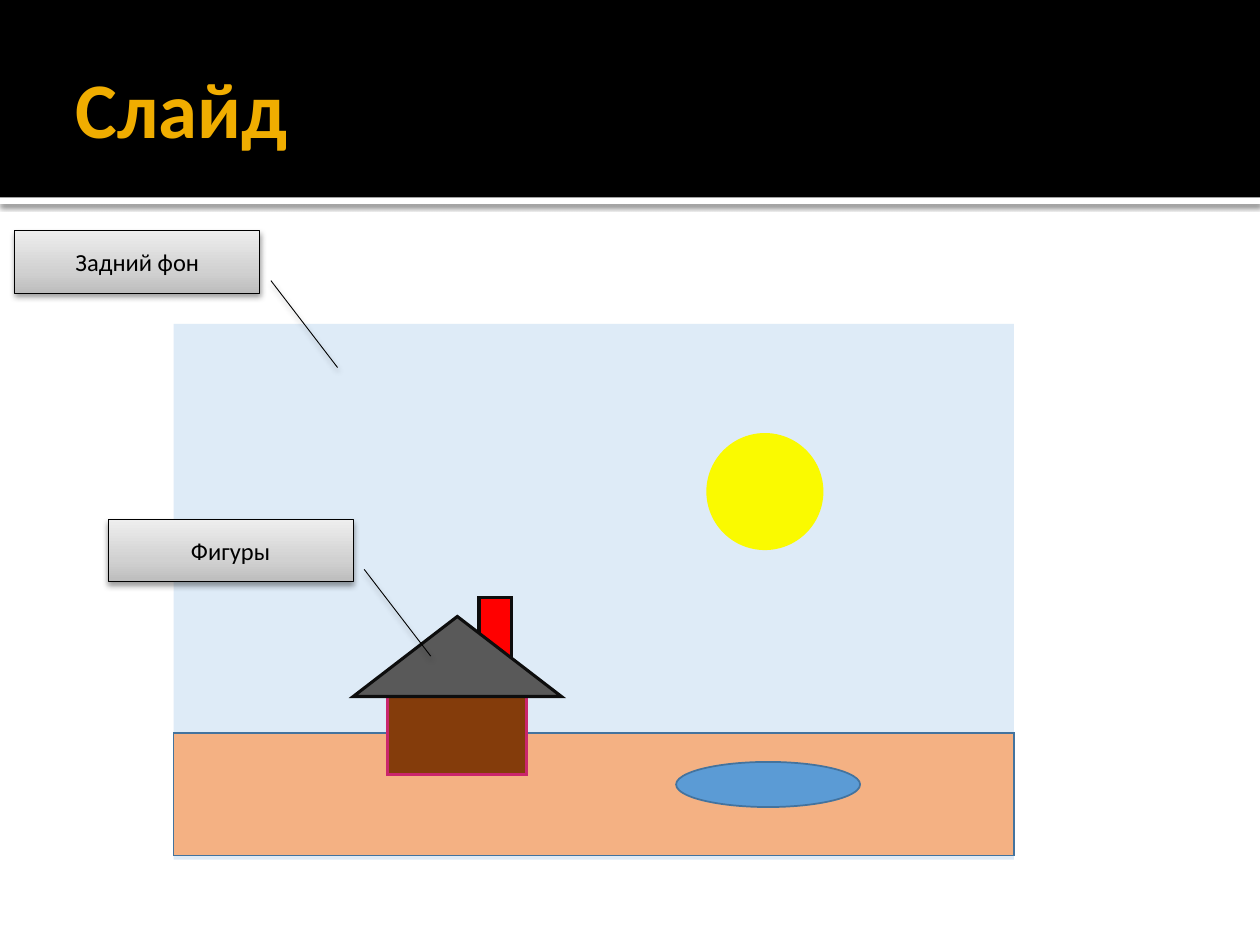
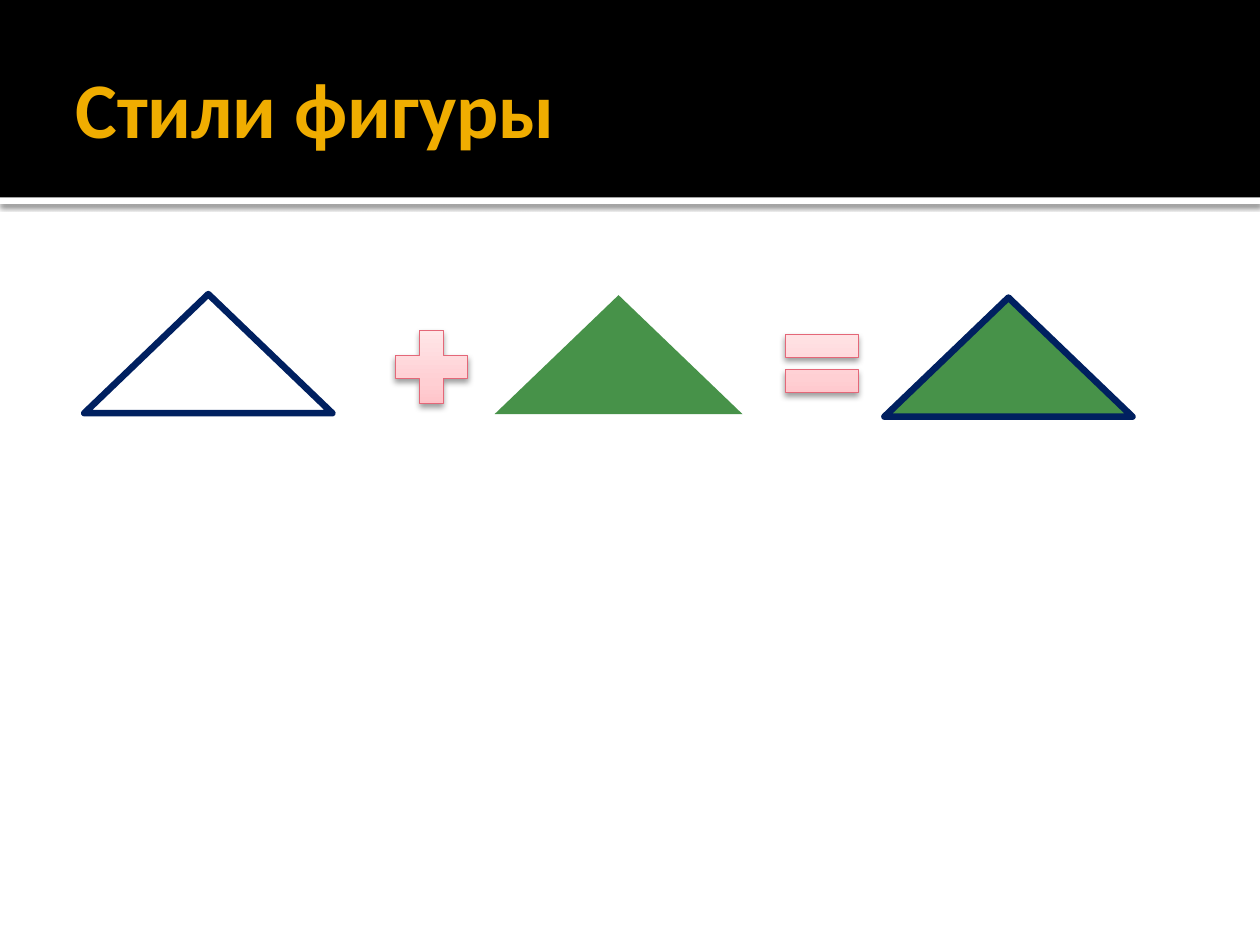
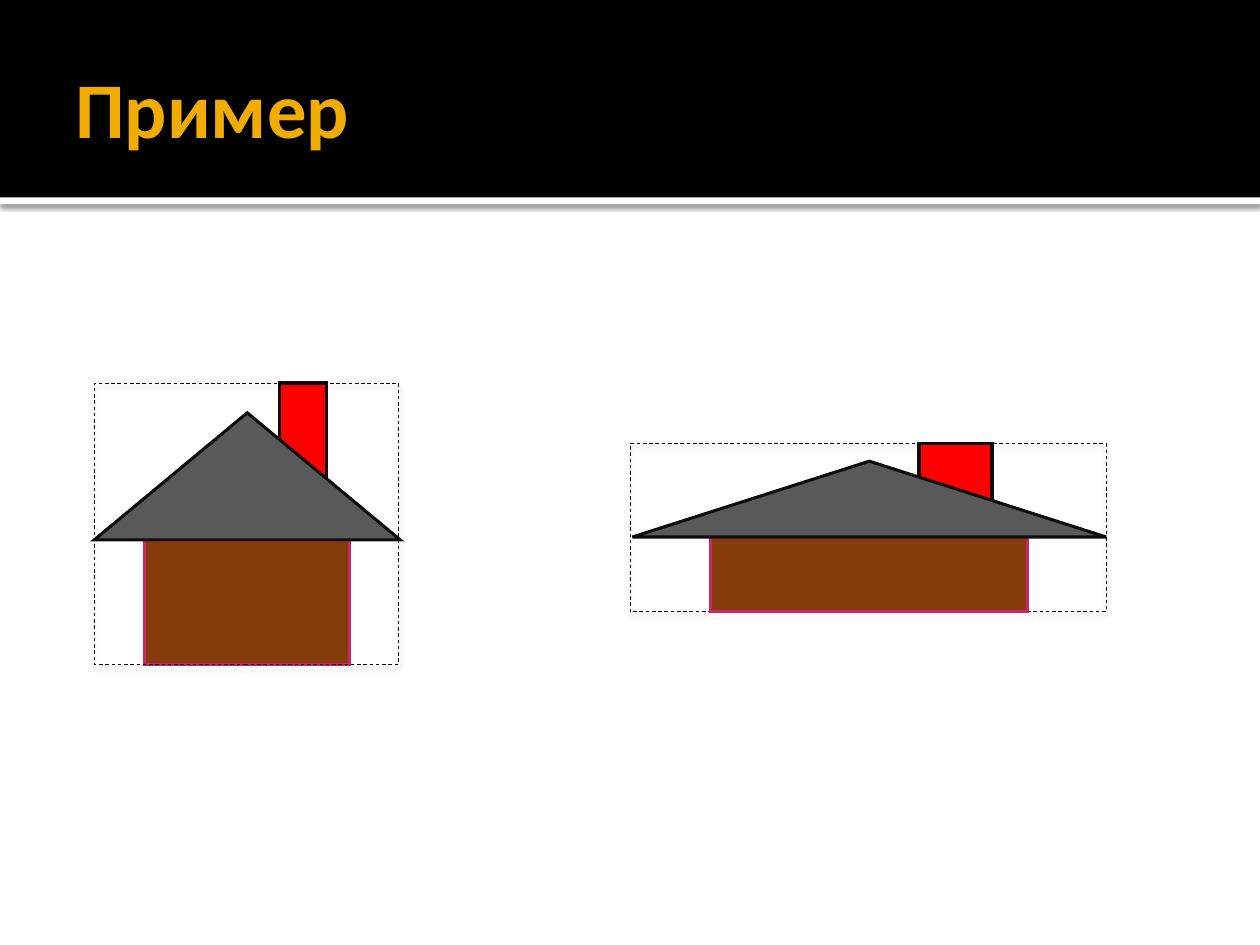
import pptx
import pptx.dml.color
import pptx.enum.dml
import pptx.enum.shapes
import pptx.enum.text
import pptx.oxml.ns
import pptx.util
from lxml import etree

Cm = pptx.util.Cm
Pt = pptx.util.Pt
SHAPE = pptx.enum.shapes.MSO_SHAPE
ALIGN = pptx.enum.text.PP_ALIGN
qn = pptx.oxml.ns.qn

SLIDE_WIDTH, SLIDE_HEIGHT = 25.4, 19.05
BAND_HEIGHT = 3.98
FONT = "Calibri"
BLACK, WHITE, GOLD = "000000", "FFFFFF", "F0AD00"
NAVY, GREEN = "002060", "479249"
OUTLINE_BLUE, OUTLINE_DARK = "43739E", "0D0D0D"

# Gradients run upwards: (position in percent, colour)
GREY_GRADIENT = [(0, "BDBDBD"), (35, "D1D1D1"), (100, "EEEEEE")]
PINK_GRADIENT = [(0, "FFBCC2"), (35, "FFCFD3"), (100, "FFEDEE")]

# Shadows: opacity in percent, blur and distance in points
RULE_SHADOW = (60, 2.5, 2)
SOFT_SHADOW = (38, 3.5, 2)


def rgb(color):
    return pptx.dml.color.RGBColor.from_string(color)


def add_color(parent, color):
    return etree.SubElement(parent, qn("a:srgbClr"), val=color)


def set_gradient(shape, stops):
    shape.fill.gradient()
    shape.fill.gradient_angle = 90
    stop_list = next(shape.element.iter(qn("a:gsLst")))
    for stop in list(stop_list):
        stop_list.remove(stop)
    for position, color in stops:
        stop = etree.SubElement(stop_list, qn("a:gs"), pos=str(position * 1000))
        add_color(stop, color)


def set_shadow(shape, opacity, blur, distance):
    effects = next(shape.element.iter(qn("a:effectLst")))
    shadow = etree.SubElement(
        effects, qn("a:outerShdw"), blurRad=str(Pt(blur)), dist=str(Pt(distance)),
        dir="5400000", algn="ctr", rotWithShape="0")
    etree.SubElement(add_color(shadow, BLACK), qn("a:alpha"), val=str(opacity * 1000))


def draw(shapes, kind, box, fill=None, line=None, shadow=None, dashed=False, sharp=False):
    """Add a preset shape; box is in cm, line is (colour, points)."""
    shape = shapes.add_shape(kind, *(Cm(length) for length in box))
    shape.shadow.inherit = False
    if isinstance(fill, list):
        set_gradient(shape, fill)
    elif fill:
        shape.fill.solid()
        shape.fill.fore_color.rgb = rgb(fill)
    else:
        shape.fill.background()
    if line:
        color, width = line
        shape.line.color.rgb = rgb(color)
        shape.line.width = Pt(width)
        if dashed:
            shape.line.dash_style = pptx.enum.dml.MSO_LINE.DASH
        if sharp:
            outline = next(shape.element.iter(qn("a:ln")))
            etree.SubElement(outline, qn("a:miter"), lim="800000")
    else:
        shape.line.fill.background()
    if shadow:
        set_shadow(shape, *shadow)
    return shape


def format_text(text_frame, size, color, alignment, bold=False):
    for paragraph in text_frame.paragraphs:
        paragraph.alignment = alignment
        for run in paragraph.runs:
            run.font.name = FONT
            run.font.size = Pt(size)
            run.font.bold = bold
            run.font.color.rgb = rgb(color)


def add_titled_slide(presentation, title):
    slide = presentation.slides.add_slide(presentation.slide_layouts[6])
    # Title band with the white rule under it
    draw(slide.shapes, SHAPE.RECTANGLE, (0, BAND_HEIGHT, SLIDE_WIDTH, 0.13), WHITE,
         shadow=RULE_SHADOW)
    draw(slide.shapes, SHAPE.RECTANGLE, (0, 0, SLIDE_WIDTH, BAND_HEIGHT), BLACK)
    # Title text
    text_box = slide.shapes.add_textbox(Cm(1.27), Cm(0.41), Cm(22.86), Cm(3.48))
    text_frame = text_box.text_frame
    text_frame.word_wrap = True
    text_frame.vertical_anchor = pptx.enum.text.MSO_ANCHOR.MIDDLE
    text_frame.margin_right = Cm(0.13)
    text_frame.text = title
    format_text(text_frame, 45, GOLD, ALIGN.LEFT, bold=True)
    return slide


def draw_house(shapes, box):
    left, top, width, height = box

    def part(kind, x, y, w, h, fill, line):
        """Place a part by percentages of the house box."""
        part_box = (left + x * width / 100, top + y * height / 100,
                    w * width / 100, h * height / 100)
        draw(shapes, kind, part_box, fill, line, sharp=True)

    part(SHAPE.RECTANGLE, 60.5, 0, 15.4, 41, "FF0000", (OUTLINE_DARK, 2))
    part(SHAPE.RECTANGLE, 16.5, 56, 66.8, 44, "843C0B", ("CA266C", 1.75))
    part(SHAPE.ISOSCELES_TRIANGLE, 0, 10.6, 100, 45.2, "595959", (OUTLINE_DARK, 1.75))


def draw_landscape(shapes, box):
    left, top, width, height = box
    draw(shapes, SHAPE.RECTANGLE, box, "DEEBF7")
    draw(shapes, SHAPE.RECTANGLE, (left, top + 8.25, width, 2.47), "F4B183",
         (OUTLINE_BLUE, 1), sharp=True)
    draw(shapes, SHAPE.OVAL, (left + 10.74, top + 2.2, 2.36, 2.36), "FAFA00")
    draw_house(shapes, (left + 3.62, top + 5.52, 4.2, 3.57))
    draw(shapes, SHAPE.OVAL, (left + 10.13, top + 8.83, 3.71, 0.91), "5B9BD5",
         (OUTLINE_BLUE, 1))


def draw_callout(shapes, left, top, label):
    callout = draw(shapes, SHAPE.LINE_CALLOUT_1, (left, top, 4.94, 1.26), GREY_GRADIENT,
                   (BLACK, 0.5), SOFT_SHADOW)
    # Pointer start and end as (y, x) shares of the box
    for index, value in enumerate((0.8, 1.045, 2.19, 1.317)):
        callout.adjustments[index] = value
    callout.text_frame.text = label
    format_text(callout.text_frame, 14, BLACK, ALIGN.CENTER)


def draw_frame(shapes, box):
    draw(shapes, SHAPE.RECTANGLE, box, line=(BLACK, 0.5), shadow=SOFT_SHADOW, dashed=True)


def build_scene_slide(presentation):
    shapes = add_titled_slide(presentation, "Слайд").shapes
    draw_landscape(shapes, (3.5, 6.53, 16.94, 10.8))
    draw_callout(shapes, 0.3, 4.65, "Задний фон")
    draw_callout(shapes, 2.18, 10.47, "Фигуры")


def build_style_slide(presentation):
    shapes = add_titled_slide(presentation, "Стили фигуры").shapes
    # Outline + fill = styled triangle
    outline = (NAVY, 3.78)
    for left, top, fill, line in ((1.7, 5.93, None, outline),
                                  (9.97, 5.95, GREEN, None),
                                  (17.83, 6, GREEN, outline)):
        draw(shapes, SHAPE.ISOSCELES_TRIANGLE, (left, top, 5, 2.4), fill, line)
    for sign, left, top in ((SHAPE.MATH_PLUS, 7.7, 6.4), (SHAPE.MATH_EQUAL, 15.57, 6.33)):
        draw(shapes, sign, (left, top, 2, 2), PINK_GRADIENT, ("E46778", 0.5), SOFT_SHADOW)


def build_example_slide(presentation):
    shapes = add_titled_slide(presentation, "Пример").shapes
    # Tall house, then the same house stretched
    draw_house(shapes.add_group_shape().shapes, (1.9, 7.72, 6.17, 5.67))
    draw_frame(shapes, (1.9, 7.73, 6.14, 5.66))
    draw_frame(shapes, (12.7, 8.95, 9.6, 3.38))
    draw_house(shapes.add_group_shape().shapes, (12.75, 8.94, 9.55, 3.38))


def main():
    presentation = pptx.Presentation()
    presentation.slide_width = Cm(SLIDE_WIDTH)
    presentation.slide_height = Cm(SLIDE_HEIGHT)
    build_scene_slide(presentation)
    build_style_slide(presentation)
    build_example_slide(presentation)
    presentation.save("out.pptx")


if __name__ == "__main__":
    main()
